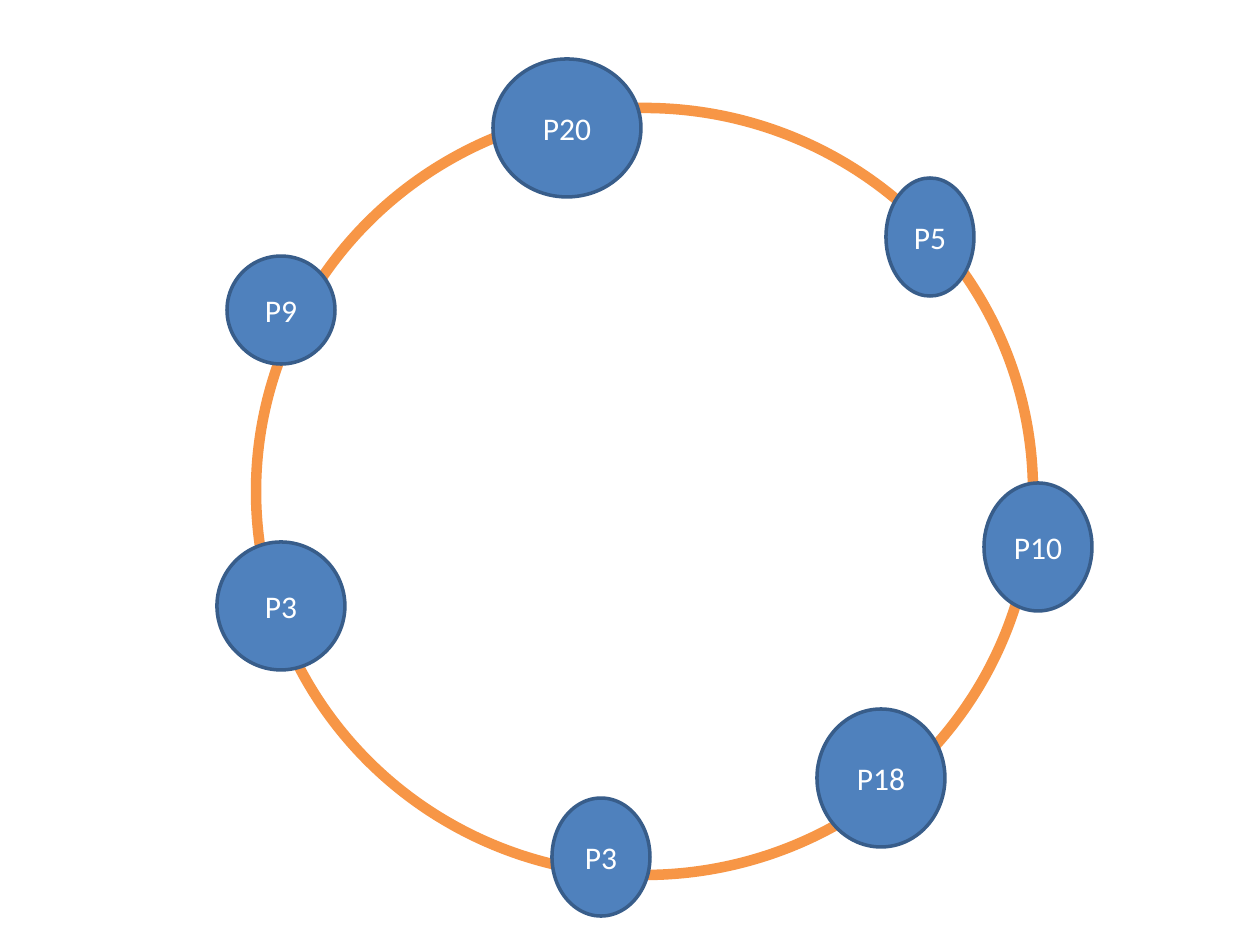
from pptx import Presentation
from pptx.dml.color import RGBColor
from pptx.enum.shapes import MSO_SHAPE
from pptx.enum.text import MSO_ANCHOR, PP_ALIGN
from pptx.util import Inches, Pt

PX = Inches(1) / 126
WHITE = RGBColor(0xFF, 0xFF, 0xFF)
ORANGE = RGBColor(0xF7, 0x96, 0x46)
BLUE = RGBColor(0x4F, 0x81, 0xBD)
DARK_BLUE = RGBColor(0x38, 0x5D, 0x8A)

# Left, top, width, height in px
RING = (256, 108, 777, 767)
NODES = [
    ("P5", (886, 178, 88, 118)),
    ("P10", (984, 483, 108, 128)),
    ("P18", (817, 709, 128, 138)),
    ("P3", (552, 798, 98, 118)),
    ("P3", (217, 542, 128, 128)),
    ("P9", (227, 256, 108, 108)),
    ("P20", (493, 59, 148, 138)),
]


def add_ellipse(shapes, box, fill, line, line_width):
    shape = shapes.add_shape(MSO_SHAPE.OVAL, *(round(length * PX) for length in box))
    shape.shadow.inherit = False
    shape.fill.solid()
    shape.fill.fore_color.rgb = fill
    shape.line.color.rgb = line
    shape.line.width = Pt(line_width)
    return shape


def add_node(shapes, label, box):
    shape = add_ellipse(shapes, box, BLUE, DARK_BLUE, 2)
    text_frame = shape.text_frame
    text_frame.text = label
    text_frame.vertical_anchor = MSO_ANCHOR.MIDDLE
    paragraph = text_frame.paragraphs[0]
    paragraph.alignment = PP_ALIGN.CENTER
    font = paragraph.runs[0].font
    font.name = "Calibri"
    font.size = Pt(18)
    font.color.rgb = WHITE


def main():
    presentation = Presentation()
    presentation.slide_width = Inches(10)
    presentation.slide_height = Inches(7.5)
    slide = presentation.slides.add_slide(presentation.slide_layouts[6])
    process_ring = slide.shapes.add_group_shape()
    add_ellipse(process_ring.shapes, RING, WHITE, ORANGE, 6)
    for label, box in NODES:
        add_node(process_ring.shapes, label, box)
    presentation.save("out.pptx")


if __name__ == "__main__":
    main()
